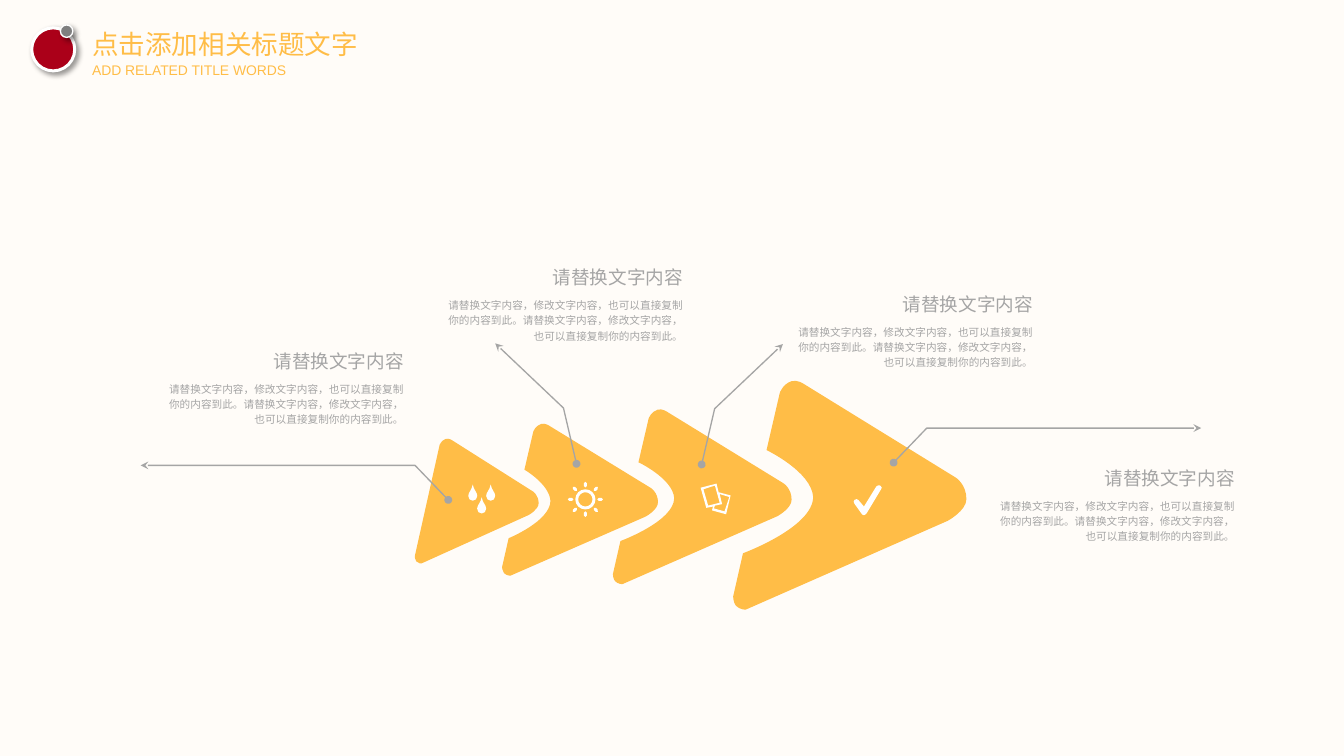
from math import cos, sin, tan, radians
from lxml.etree import SubElement as Sub
from pptx import Presentation
from pptx.dml.color import RGBColor as Rgb
from pptx.enum.shapes import MSO_SHAPE as Kind
from pptx.enum.text import MSO_ANCHOR as Anchor, PP_ALIGN as Align
from pptx.oxml.ns import qn
from pptx.util import Pt

TITLE = "点击添加相关标题文字"
SUBTITLE = "ADD RELATED TITLE WORDS"
HEAD = "请替换文字内容"
BODY = "请替换文字内容\uff0c修改文字内容\uff0c也可以直接复制你的内容到此。" * 2
FONT = "Arial"
GOLD, GREY, WHITE = "FFBD47", "A5A5A5", "FFFFFF"

NOTES = [(304.2, 256), (514.6, 193), (778.2, 213.3), (930.3, 344.2)]
ARROWS = [
    (552.4, 285.8, 175.7, 173.5, 34.3),
    (461.8, 307.6, 134.6, 132.5, 34.3),
    (378.3, 318.5, 117.4, 115.2, 31),
    (312.5, 329.9, 93.3, 94.6, None),
]
FLAT = [(0, 0), (25, -26), (231.8, -26)]
STEEP = [(0, 0), (9.8, -42), (61.2, -90.7)]
LEADERS = [
    (673.2, 348.5, 1, FLAT),
    (337.7, 376.6, -1, FLAT),
    (528.6, 349.9, 1, STEEP),
    (434.3, 349.4, -1, STEEP),
]
BADGES = [
    (23.9, 21, 32.4, "AB0019", 2.25),
    (45.5, 18.8, 9.4, "7F7F7F", 1),
]

TAIL = [
    (100, 52), (100, 57, 92, 61.4, 92, 61.4), (5.3, 100),
    (5.3, 100, 2.8, 100, 1.2, 98.3), (0, 97, 0, 94.2, 0, 94.2),
]
NOSE = [
    (20, 5.8), (20, 5.8, 21.3, 2, 25, 0.8), (27.5, 0, 30.3, 2, 30.3, 2),
    (95.5, 42.7), (95.5, 42.7, 100, 45.6, 100, 52),
]
DROP = [
    (0, 0), (-0.7, 4.3, -3.4, 5.8, -3.4, 8.6), (-3.4, 10.8, -1.9, 12.2, 0, 12.2),
    (1.9, 12.2, 3.4, 10.8, 3.4, 8.6), (3.4, 5.8, 0.7, 4.3, 0, 0),
]
TIPS = [(356.2, 365), (369.7, 365), (362.9, 374.6)]
CARDS = [
    [(550.4, 373.2), (541.4, 370.8), (539.8, 364.3), (527.8, 367.4),
     (532.1, 382.6), (537.1, 381.6), (536.4, 384.5), (547, 387.4)],
    [(529.9, 368.6), (538.6, 365.8), (542.2, 378.7), (533.5, 380.9)],
    [(545.8, 385.2), (537.8, 383), (538.6, 380.9), (544, 379.8),
     (542.2, 372.2), (549.4, 374.4)],
]
TICK = [
    (650.9, 388.1), (650.2, 388.1, 649.4, 387.4, 649.4, 387.4), (643.7, 379.4),
    (643, 378.7, 643, 377.3, 643.7, 376.6), (645.1, 375.8, 645.8, 375.8, 646.6, 376.6),
    (650.9, 381.6), (660.2, 366.5), (661, 365.8, 662.4, 365, 663.1, 365.8),
    (664.6, 366.5, 664.6, 367.9, 663.8, 368.6), (653, 386.6),
    (652.3, 387.4, 651.6, 388.1, 650.9, 388.1),
]
SUN = (441, 376.2)


def color(code):
    return Rgb.from_string(code)


def paint(shape, code):
    shape.fill.solid()
    shape.fill.fore_color.rgb = color(code)


def pairs(step):
    return list(zip(step[::2], step[1::2]))


def place(steps, x, y, wide=1, high=1):
    return [sum(((x + a * wide, y + b * high) for a, b in pairs(step)), ())
            for step in steps]


def polar(mid, size, angle):
    turn = radians(angle)
    return mid[0] + size * cos(turn), mid[1] + size * sin(turn)


def arc(mid, size, start, sweep):
    end = start + sweep
    reach = size * 4 / 3 * tan(radians(sweep / 4))
    first, last = polar(mid, size, start), polar(mid, size, end)
    return [first, polar(first, reach, start + 90) + polar(last, reach, end - 90) + last]


def ring(size):
    return [polar(SUN, size, 0)] + [arc(SUN, size, a, 90)[1] for a in range(0, 360, 90)]


def ray(angle):
    far, near = polar(SUN, 12.1, angle), polar(SUN, 10.1, angle)
    return arc(far, 1.1, angle - 90, 180) + arc(near, 1.1, angle + 90, 180)


def bend(shape, paths):
    lines = iter(list(shape._element.iter(qn("a:lnTo"))))
    for path in paths:
        for step in path[1:]:
            first, *rest = [next(lines) for _ in pairs(step)]
            if rest:
                first.tag = qn("a:cubicBezTo")
            for line in rest:
                first.append(line[0])
                line.getparent().remove(line)


def draw(paths, close=True):
    pen = None
    for path in paths:
        dots = [(Pt(x), Pt(y)) for step in path for x, y in pairs(step)]
        if pen is None:
            pen = slide.shapes.build_freeform(*dots[0], scale=1.0)
        else:
            pen.move_to(*dots[0])
        pen.add_line_segments(dots[1:], close=close)
    shape = pen.convert_to_shape()
    shape.shadow.inherit = False
    bend(shape, paths)
    return shape


def solid(paths, code):
    shape = draw(paths)
    paint(shape, code)
    shape.line.fill.background()


def leader(x, y, side, steps):
    shape = draw([place(steps, x, y, side)], close=False)
    shape.fill.background()
    shape.line.color.rgb = color(GREY)
    shape.line.width = Pt(1)
    line = shape.line._get_or_add_ln()
    for end, kind in (("headEnd", "oval"), ("tailEnd", "stealth")):
        Sub(line, qn("a:" + end), type=kind)


def write(box, at, text, size, code, align=Align.LEFT, space=1, anchor=Anchor.TOP):
    box.left, box.top, box.width, box.height = map(Pt, at)
    frame = box.text_frame
    frame.word_wrap = True
    frame.vertical_anchor = anchor
    frame.margin_left = frame.margin_right = frame.margin_top = frame.margin_bottom = 0
    para = frame.paragraphs[0]
    para.text = text
    para.alignment = align
    para.line_spacing = space
    para.font.name = FONT
    para.font.size = Pt(size)
    para.font.color.rgb = color(code)


def label(*rest):
    write(slide.shapes.add_textbox(0, 0, 0, 0), *rest)


def badge(x, y, size, code, edge):
    shape = slide.shapes.add_shape(Kind.OVAL, Pt(x), Pt(y), Pt(size), Pt(size))
    paint(shape, code)
    shape.line.color.rgb = color(WHITE)
    shape.line.width = Pt(edge)
    shape.shadow.inherit = False
    glow = shape._element.spPr.find(qn("a:effectLst"))
    cast = Sub(glow, qn("a:outerShdw"), blurRad=str(Pt(4)), dist=str(Pt(3)), dir="2700000")
    tint = Sub(cast, qn("a:srgbClr"), val="000000")
    Sub(tint, qn("a:alpha"), val="40000")


deck = Presentation()
deck.slide_width, deck.slide_height = Pt(1012.5), Pt(569.5)
slide = deck.slides.add_slide(deck.slide_layouts[5])
paint(slide.background, "FFFCF8")

for x, y, wide, high, tip in ARROWS:
    notch = [] if tip is None else [
        (4.2, 75.5), (4.2, 75.5, tip, 64.3, tip, 51),
        (tip - 0.8, 40, 14.3, 30.7, 14.3, 30.7)]
    solid([place(TAIL + notch + NOSE, x, y, wide / 100, high / 100)], GOLD)

for item in LEADERS:
    leader(*item)

drops = [place(DROP, x, y) for x, y in TIPS]
sun = [ring(7.6), ring(5.4)] + [ray(a) for a in range(0, 360, 45)]
for icon in (drops, sun, CARDS, [TICK]):
    solid(icon, WHITE)

for right, top in NOTES:
    label((right - 111.6, top, 111.6, 28), HEAD, 14, GREY, Align.RIGHT, 1.2, Anchor.MIDDLE)
    label((right - 180.7, top + 30.3, 180.7, 45.4), BODY, 8, GREY, Align.RIGHT, 1.2)

write(slide.shapes.title, (69.4, 20.9, 201.6, 24.5), TITLE, 20, GOLD)
label((69.4, 46.1, 149.8, 13), SUBTITLE, 10.5, GOLD)
for item in BADGES:
    badge(*item)

deck.save("out.pptx")
